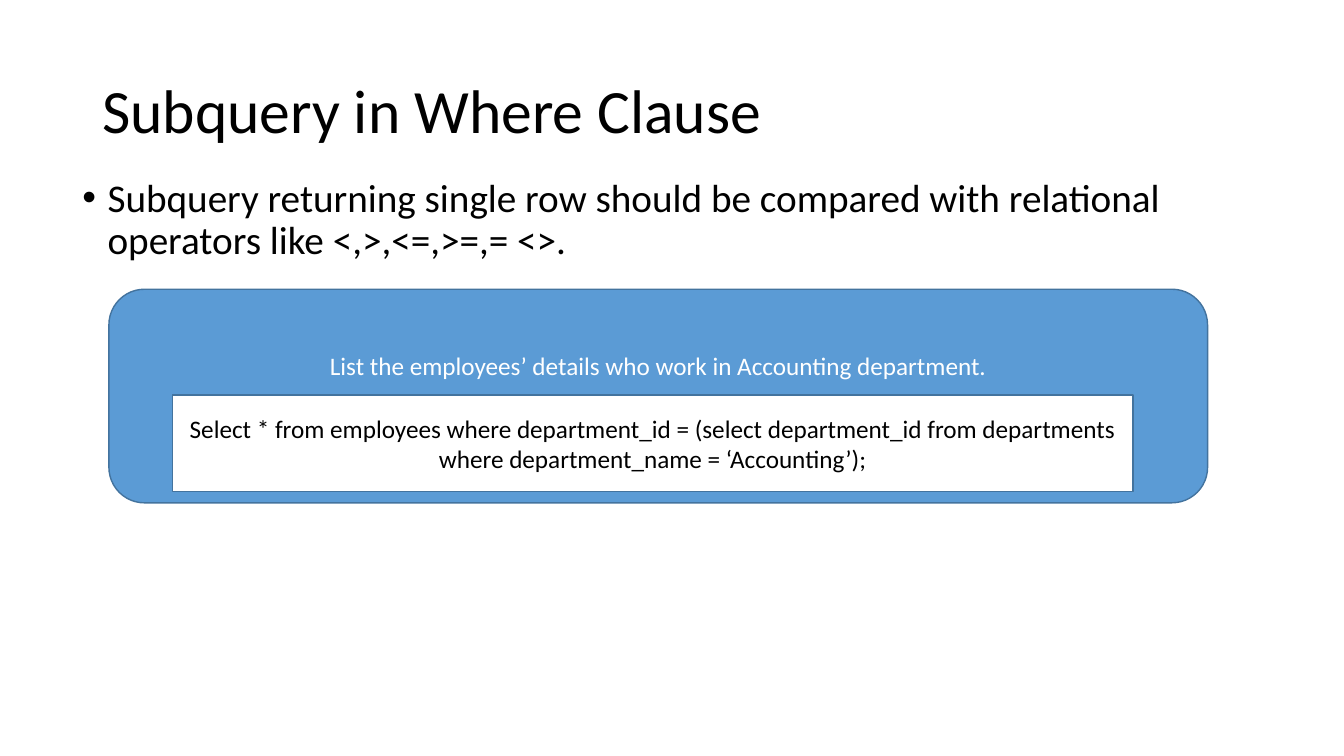
from lxml.etree import SubElement
from pptx import Presentation
from pptx.dml.color import RGBColor
from pptx.enum.shapes import MSO_SHAPE
from pptx.enum.text import MSO_ANCHOR, PP_ALIGN
from pptx.oxml.ns import qn
from pptx.util import Pt

TITLE = "Subquery in Where Clause"
RULE = ("Subquery returning single row should be compared with relational "
        "operators like <,>,<=,>=,= <>.")
TASK = "List the employees’ details who work in Accounting department."
QUERY = ("Select * from employees where department_id = (select department_id "
         "from departments where department_name = ‘Accounting’);")

BLACK = RGBColor(0x00, 0x00, 0x00)
WHITE = RGBColor(0xFF, 0xFF, 0xFF)
BLUE = RGBColor(0x5B, 0x9B, 0xD5)
OUTLINE = RGBColor(0x43, 0x73, 0x9E)

TITLE_BOX = (66, 28.8, 828, 104.4)
RULE_BOX = (51.8, 123.8, 828, 342.7)
TASK_BOX = (77.8, 206.6, 784.8, 152.6)
QUERY_BOX = (123.1, 282.2, 686.2, 69.1)
BULLET_INDENT = 18
ROOM_BELOW_TASK = 47.6


def add_text(text, box, size, color=BLACK, shape=None, fill=None,
             anchor=MSO_ANCHOR.MIDDLE, align=PP_ALIGN.LEFT, spacing=1.0,
             bullet=False, bottom=3.6):
    box = [Pt(v) for v in box]
    if shape is None:
        sp = s.shapes.add_textbox(*box)
    else:
        sp = s.shapes.add_shape(shape, *box)
        sp.shadow.inherit = False
        sp.fill.solid()
        sp.fill.fore_color.rgb = fill
        sp.line.color.rgb = OUTLINE
        sp.line.width = Pt(1)
    tf = sp.text_frame
    tf.word_wrap = True
    tf.vertical_anchor = anchor
    tf.margin_bottom = Pt(bottom)
    p = tf.paragraphs[0]
    p.alignment = align
    p.line_spacing = spacing
    if bullet:
        pPr = p._p.get_or_add_pPr()
        pPr.set("marL", str(Pt(BULLET_INDENT)))
        pPr.set("indent", str(-Pt(BULLET_INDENT)))
        SubElement(pPr, qn("a:buFont")).set("typeface", "Arial")
        SubElement(pPr, qn("a:buChar")).set("char", "•")
    r = p.add_run()
    r.text = text
    r.font.name = "Calibri"
    r.font.size = Pt(size)
    r.font.color.rgb = color


prs = Presentation()
prs.slide_width = Pt(960)
prs.slide_height = Pt(540)
s = prs.slides.add_slide(prs.slide_layouts[6])

add_text(TITLE, TITLE_BOX, 44, spacing=0.9)
add_text(RULE, RULE_BOX, 28, anchor=MSO_ANCHOR.TOP, spacing=0.9, bullet=True)
add_text(TASK, TASK_BOX, 18, color=WHITE, shape=MSO_SHAPE.ROUNDED_RECTANGLE,
         fill=BLUE, align=PP_ALIGN.CENTER, bottom=ROOM_BELOW_TASK)
add_text(QUERY, QUERY_BOX, 18, shape=MSO_SHAPE.RECTANGLE, fill=WHITE,
         align=PP_ALIGN.CENTER)

prs.save("out.pptx")
